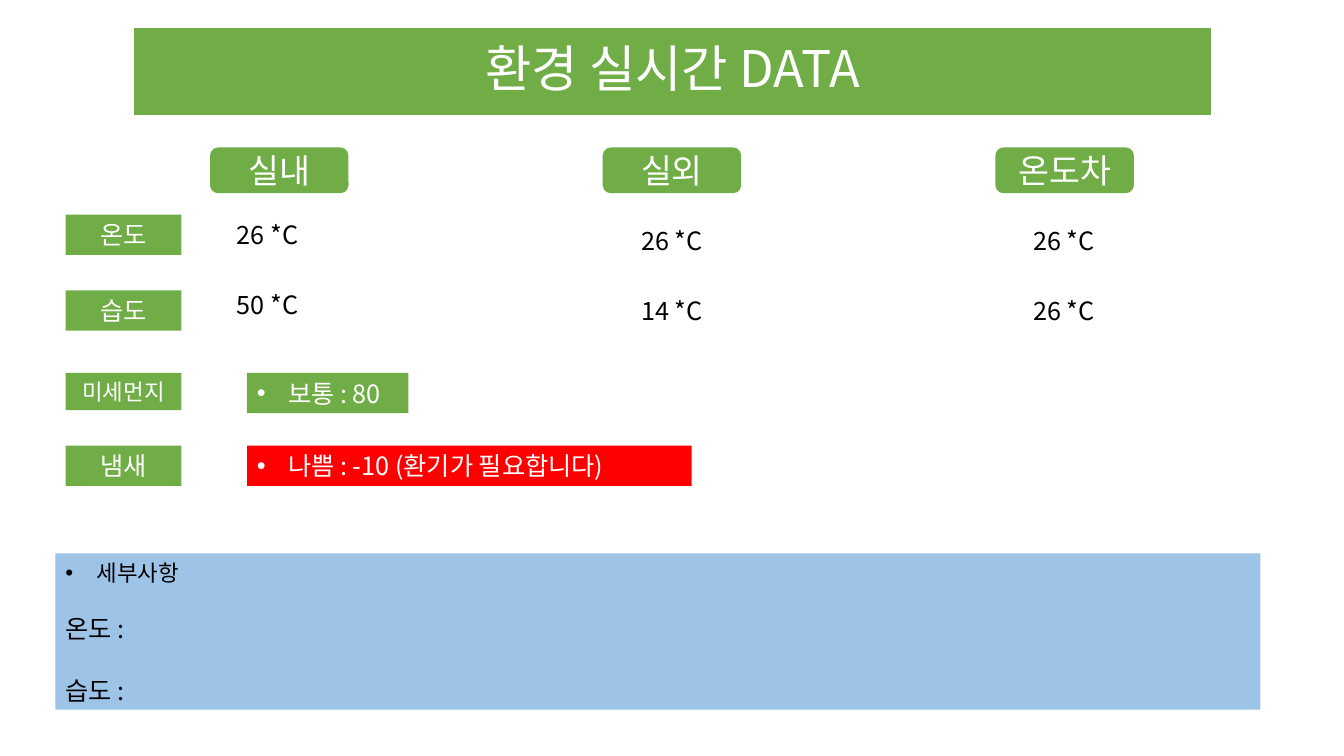
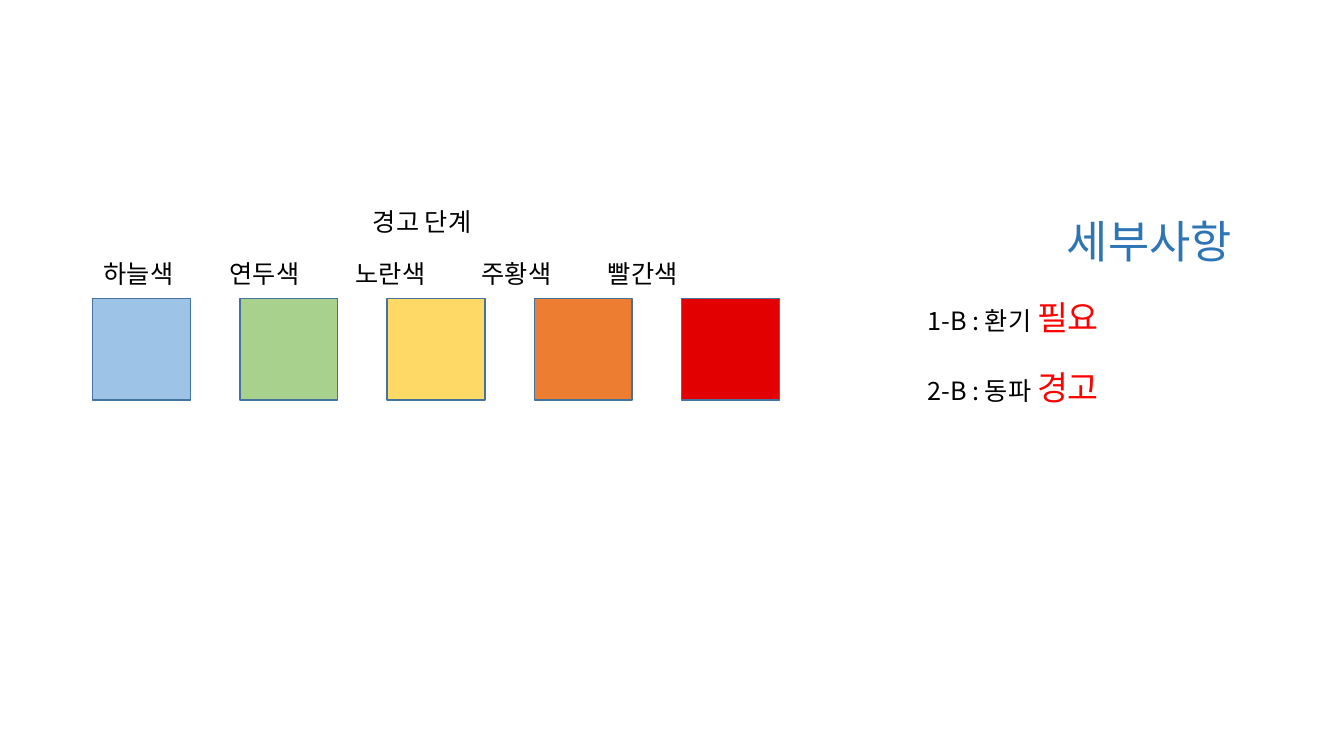
"""Build a live environment dashboard and its warning-level legend."""
from lxml.etree import SubElement
from pptx import Presentation
from pptx.dml.color import RGBColor
from pptx.enum.shapes import MSO_SHAPE as Preset
from pptx.enum.text import MSO_ANCHOR as Anchor, MSO_AUTO_SIZE as AutoSize, PP_ALIGN as Align
from pptx.oxml.ns import qn
from pptx.util import Inches, Pt

FONT = "Noto Sans CJK KR"
GREEN, SKY, RED, OUTLINE = "70AD47", "9DC3E6", "FF0000", "43739E"
WHITE, BLACK, BLUE = "FFFFFF", "000000", "2E75B6"
SIDE = {"alignment": Align.LEFT}
MIDDLE = {"alignment": Align.CENTER}
color = RGBColor.from_string


def write(frame, paragraphs, anchor=Anchor.MIDDLE):
    """Fill a frame with (runs, paragraph format, bulleted) entries."""
    frame_format = {"word_wrap": True, "auto_size": AutoSize.NONE, "vertical_anchor": anchor}
    for name, value in frame_format.items():
        setattr(frame, name, value)
    for index, (runs, layout, bulleted) in enumerate(paragraphs):
        paragraph = frame.add_paragraph() if index else frame.paragraphs[0]
        for name, value in layout.items():
            setattr(paragraph, name, value)
        if bulleted:
            properties = paragraph._p.get_or_add_pPr()
            properties.set("marL", str(Inches(0.31)))
            properties.set("indent", str(-Inches(0.31)))
            SubElement(properties, qn("a:buFont"), typeface="Arial")
            SubElement(properties, qn("a:buChar"), char="•")
        for words, size, ink in runs:
            run = paragraph.add_run()
            run.text = words
            for name, value in {"name": FONT, "size": Pt(size)}.items():
                setattr(run.font, name, value)
            run.font.color.rgb = color(ink)
            SubElement(run._r.get_or_add_rPr(), qn("a:ea"), typeface=FONT)


def place(slide, area, paragraphs=(), fill=None, line=None, preset=Preset.RECTANGLE,
          anchor=Anchor.MIDDLE):
    """Add a filled block, or a plain text box when there is no fill."""
    area = [Inches(length) for length in area]
    if fill:
        block = slide.shapes.add_shape(preset, *area)
        block.shadow.inherit = False
        block.fill.solid()
        block.fill.fore_color.rgb = color(fill)
        if line:
            block.line.color.rgb = color(line)
            block.line.width = Pt(1)
        else:
            block.line.fill.background()
    else:
        block = slide.shapes.add_textbox(*area)
    write(block.text_frame, paragraphs, anchor)


deck = Presentation()
deck.slide_width, deck.slide_height = Inches(13.33), Inches(7.5)

dashboard = deck.slides.add_slide(deck.slide_layouts[5])
heading = dashboard.shapes.title
heading_area = {"left": 1.33, "top": 0.28, "width": 10.68, "height": 0.86}
for name, value in heading_area.items():
    setattr(heading, name, Inches(value))
heading.fill.solid()
heading.fill.fore_color.rgb = color(GREEN)
write(heading.text_frame,
      [([("환경 실시간 DATA", 36, WHITE)], {**MIDDLE, "line_spacing": 0.9}, False)])

COLUMN, READING_ROW = 3.895, 0.69
places = [
    ("실내", 2.25, 2.13, ("26 *C", "50 *C")),
    ("실외", 6.26, 2.19, ("26 *C", "14 *C")),
    ("온도차", 10.15, 2.19, ("26 *C", "26 *C")),
]
for column, (place_name, left, top, readings) in enumerate(places):
    place(dashboard, (2.09 + column * COLUMN, 1.47, 1.36, 0.44),
          [([(place_name, 24, WHITE)], MIDDLE, False)], GREEN, GREEN, Preset.ROUNDED_RECTANGLE)
    for row, reading in enumerate(readings):
        place(dashboard, (left, top + row * READING_ROW, 1, 0.4),
              [([(reading, 18, BLACK)], SIDE, False)])

measures = [("온도", 2.13, 0.4, 18), ("습도", 2.88, 0.4, 18),
            ("미세먼지", 3.7, 0.37, 16), ("냄새", 4.42, 0.4, 18)]
for measure, top, height, size in measures:
    place(dashboard, (0.65, top, 1.15, height),
          [([(measure, size, WHITE)], MIDDLE, False)], GREEN)

statuses = [("보통 : 80", 3.7, 1.6, GREEN), ("나쁨 : -10 (환기가 필요합니다)", 4.42, 4.41, RED)]
for status, top, width, level in statuses:
    place(dashboard, (2.45, top, width, 0.4), [([(status, 18, WHITE)], SIDE, True)], level)

place(dashboard, (0.55, 5.49, 11.95, 1.55), [
    ([("세부사항", 16, BLACK)], {**SIDE, "line_spacing": Pt(20)}, True),
    ([("온도 :", 18, BLACK)], {**SIDE, "line_spacing": Pt(22), "space_before": Pt(19)}, False),
    ([("습도 :", 18, BLACK)], {**SIDE, "line_spacing": Pt(22), "space_before": Pt(22)}, False),
], SKY, anchor=Anchor.TOP)

legend = deck.slides.add_slide(deck.slide_layouts[6])
place(legend, (3.6, 2, 1.3, 0.4), [([("경고 단계", 18, BLACK)], SIDE, False)])

LABEL_STEP, SWATCH_STEP = 1.25, 1.46
levels = [("하늘색", SKY), ("연두색", "A9D18E"), ("노란색", "FFD966"),
          ("주황색", "ED7D31"), ("빨간색", "E20000")]
for step, (level_name, level) in enumerate(levels):
    place(legend, (0.93 + step * LABEL_STEP, 2.51, LABEL_STEP, 0.41),
          [([(level_name, 18, BLACK)], SIDE, False)])
    place(legend, (0.92 + step * SWATCH_STEP, 2.96, 0.97, 1.01), fill=level, line=OUTLINE)

notices = [([("세부사항", 32, BLUE)], {**MIDDLE, "line_spacing": Pt(40)}, False)]
for cause, alert in [("1-B : 환기 ", "필요"), ("2-B : 동파 ", "경고")]:
    notices.append(([(cause, 18, BLACK), (alert, 24, RED)],
                    {**SIDE, "line_spacing": Pt(30), "space_before": Pt(20)}, False))
place(legend, (9.1, 2.05, 4.6, 2.05), notices, anchor=Anchor.TOP)

deck.save("out.pptx")
